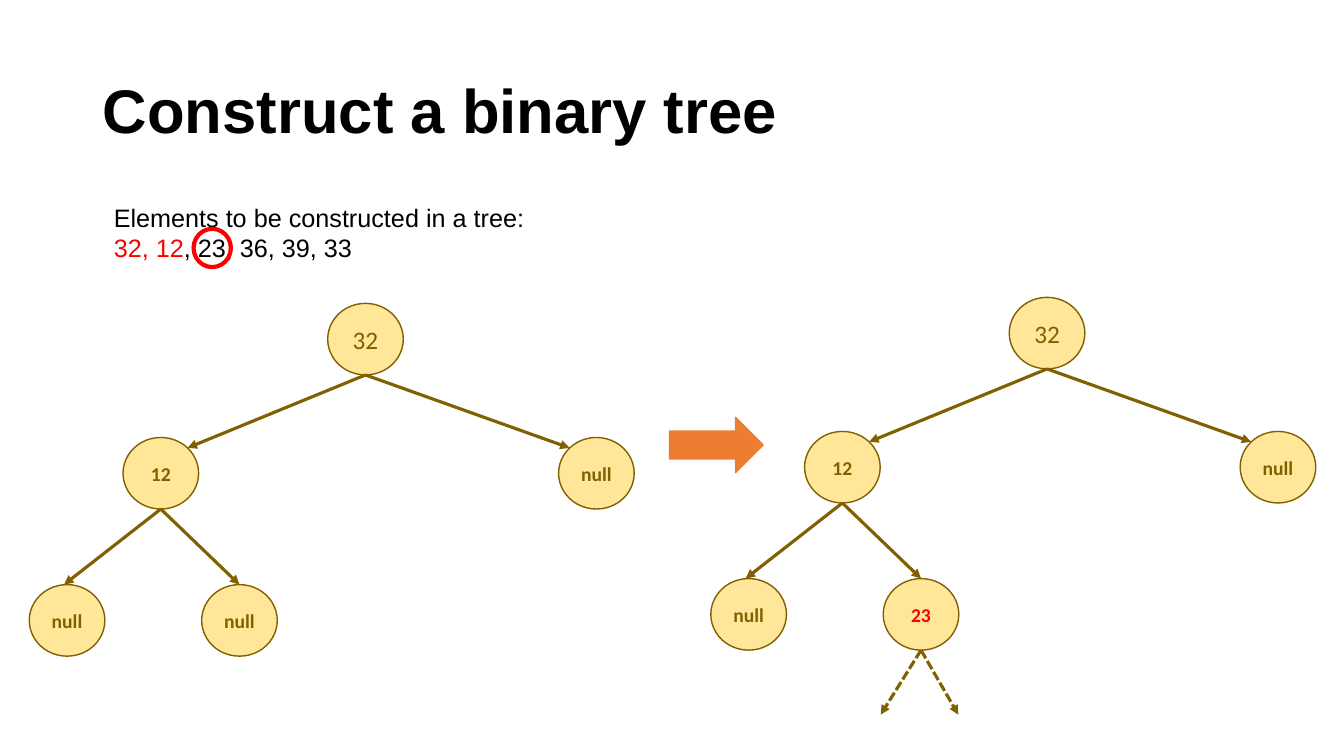
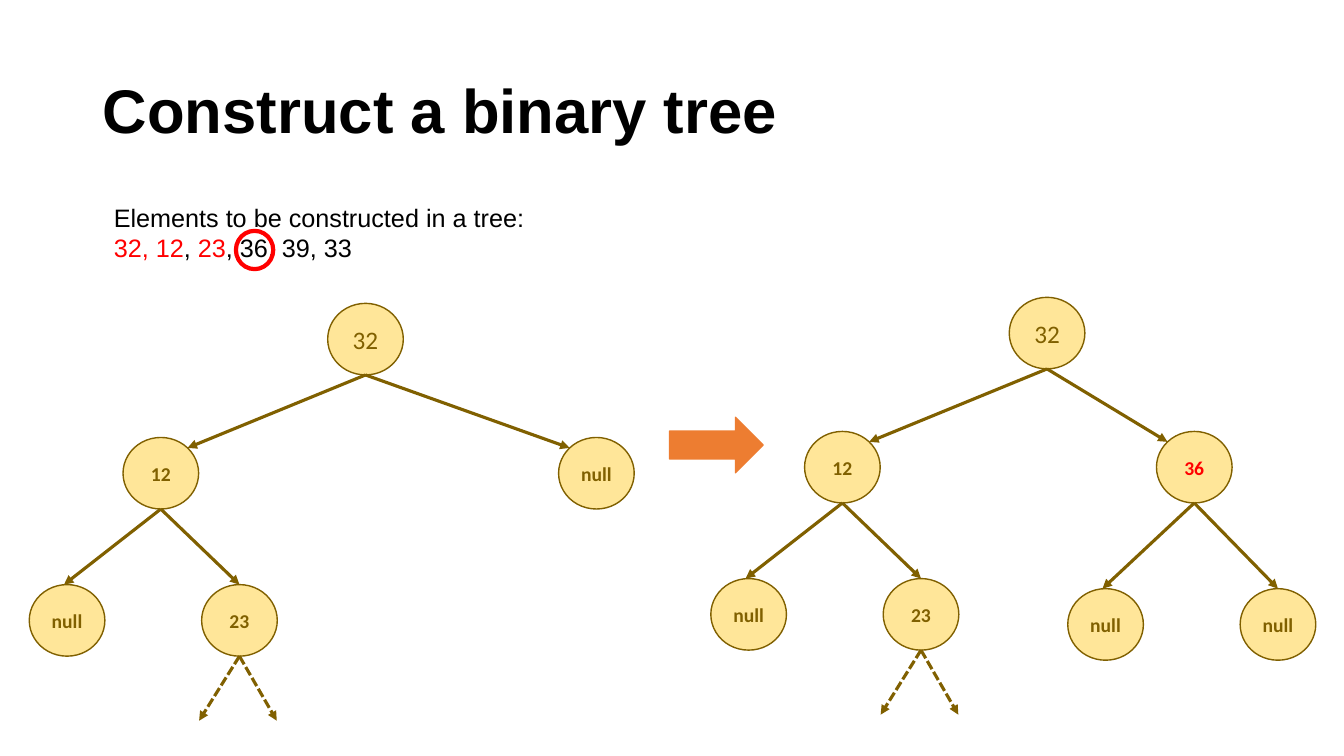
from lxml import etree
from pptx import Presentation
from pptx.dml.color import RGBColor
from pptx.enum.dml import MSO_LINE
from pptx.enum.shapes import MSO_CONNECTOR, MSO_SHAPE
from pptx.enum.text import MSO_ANCHOR, MSO_AUTO_SIZE, PP_ALIGN
from pptx.oxml.ns import qn
from pptx.util import Pt

PX = 9144
SLIDE_SIZE = (1333, 750)
TITLE_ONLY = 5
STRAIGHT = MSO_CONNECTOR.STRAIGHT
ELLIPSE, RIGHT_ARROW = MSO_SHAPE.OVAL, MSO_SHAPE.RIGHT_ARROW
DASHED = MSO_LINE.SQUARE_DOT
MIDDLE, LEFT, CENTER = MSO_ANCHOR.MIDDLE, PP_ALIGN.LEFT, PP_ALIGN.CENTER

COLORS = {
    "text": "000000",
    "highlight": "FF0000",
    "node": "FFE699",
    "outline": "806000",
    "arrow": "ED7D31",
}
HEADING_FONT, NODE_FONT = "Arial", "Calibri"

TITLE = "Construct a binary tree"
PROMPT = "Elements to be constructed in a tree:"
TITLE_BOX = (92, 40, 1150, 145)
ELEMENTS_BOX = (103, 196, 431, 71)
ARROW_BOX = (664, 414, 93, 55)
RING_SIZE = (37, 38)
NODE_WIDTH, NODE_HEIGHT = 75, 71
CORNER = 0.354
LEFT_LEAF_SHIFT = 3
PENDING_ENDS = ((37, 64), (-40, 64))
BEFORE, AFTER = (0, 0), (676, -6)

SLOTS = {
    "root": (325, 301),
    "L": (122, 434),
    "R": (554, 434),
    "R near": (471, 434),
    "LL": (29, 580),
    "LR": (200, 580),
    "RL": (383, 590),
    "RR": (554, 590),
}
PARENTS = {"L": "root", "R": "root", "R near": "root",
           "LL": "L", "LR": "L", "RL": "R near", "RR": "R near"}

TREE_12 = {"root": "32", "L": "12", "R": "null", "LL": "null", "LR": "null"}
TREE_23 = {**TREE_12, "LR": "23"}
TREE_36 = {"root": "32", "L": "12", "R near": "36",
           "LL": "null", "LR": "23", "RL": "null", "RR": "null"}

STEPS = [
    {
        "elements": [("32, 12", "highlight"), (", 23, 36, 39, 33", "text")],
        "ring": (192, 227),
        "trees": [(TREE_12, BEFORE, None, None), (TREE_23, AFTER, "LR", "LR")],
    },
    {
        "elements": [("32, 12", "highlight"), (", ", "text"),
                     ("23", "highlight"), (", 36, 39, 33", "text")],
        "ring": (234, 229),
        "trees": [(TREE_23, BEFORE, None, "LR"), (TREE_36, AFTER, "R near", "LR")],
    },
]


def emu(*lengths):
    return [round(length * PX) for length in lengths]


def color(name):
    return RGBColor.from_string(COLORS[name])


def set_font(font, name, size, color_name=None, bold=False):
    font.name, font.size, font.bold = name, Pt(size), bold
    if color_name:
        font.color.rgb = color(color_name)


def add_shape(shapes, kind, box, fill, line, width):
    shape = shapes.add_shape(kind, *emu(*box))
    shape.shadow.inherit = False
    if fill:
        shape.fill.solid()
        shape.fill.fore_color.rgb = color(fill)
    else:
        shape.fill.background()
    shape.line.color.rgb = color(line)
    shape.line.width = Pt(width)
    return shape


def add_edge(shapes, start, end, dash=None):
    edge = shapes.add_connector(STRAIGHT, *emu(*start, *end))
    edge.line.color.rgb = color("outline")
    edge.line.width = Pt(2.25)
    if dash:
        edge.line.dash_style = dash
    etree.SubElement(edge.line._get_or_add_ln(), qn("a:tailEnd"), type="triangle")
    etree.SubElement(edge._element.spPr, qn("a:effectLst"))


def add_node(shapes, position, label, is_root, is_new):
    node = add_shape(shapes, ELLIPSE, (*position, NODE_WIDTH, NODE_HEIGHT),
                     "node", "outline", 1)
    frame = node.text_frame
    frame.word_wrap = False
    frame.vertical_anchor = MIDDLE
    paragraph = frame.paragraphs[0]
    paragraph.text = label
    paragraph.alignment = CENTER
    set_font(paragraph.font, NODE_FONT, 18 if is_root else 14,
             "highlight" if is_new else "outline", not is_root)


def add_tree(slide, labels, offset, new_slot, pending_slot):
    shapes = slide.shapes.add_group_shape().shapes
    places = {slot: (SLOTS[slot][0] + offset[0], SLOTS[slot][1] + offset[1])
              for slot in labels}

    def bottom(slot):
        x, y = places[slot]
        return x + NODE_WIDTH / 2, y + NODE_HEIGHT

    for slot, label in labels.items():
        add_node(shapes, places[slot], label, slot == "root", slot == new_slot)
    for slot in labels:
        if slot == "root":
            continue
        start = bottom(PARENTS[slot])
        x, y = places[slot]
        x += NODE_WIDTH / 2
        goes_left = x < start[0]
        if PARENTS[slot] == "root":
            x += CORNER * NODE_WIDTH * (1 if goes_left else -1)
            y += (0.5 - CORNER) * NODE_HEIGHT
        elif goes_left:
            x -= LEFT_LEAF_SHIFT
        add_edge(shapes, start, (x, y))
    if pending_slot:
        x, y = bottom(pending_slot)
        for dx, dy in PENDING_ENDS:
            add_edge(shapes, (x, y), (x + dx, y + dy), DASHED)


def add_title(slide):
    title = slide.shapes.title
    title.left, title.top, title.width, title.height = emu(*TITLE_BOX)
    title.text_frame.vertical_anchor = MIDDLE
    paragraph = title.text_frame.paragraphs[0]
    paragraph.text = TITLE
    paragraph.alignment = LEFT
    paragraph.line_spacing = 0.9
    set_font(paragraph.font, HEADING_FONT, 44, "text", True)


def add_elements(slide, elements):
    frame = slide.shapes.add_textbox(*emu(*ELEMENTS_BOX)).text_frame
    frame.word_wrap = False
    frame.auto_size = MSO_AUTO_SIZE.SHAPE_TO_FIT_TEXT
    prompt = frame.paragraphs[0]
    prompt.text = PROMPT
    set_font(prompt.font, HEADING_FONT, 18, "text")
    numbers = frame.add_paragraph()
    set_font(numbers.font, HEADING_FONT, 18)
    for text, color_name in elements:
        run = numbers.add_run()
        run.text = text
        run.font.color.rgb = color(color_name)


def add_step(presentation, step):
    slide = presentation.slides.add_slide(presentation.slide_layouts[TITLE_ONLY])
    add_title(slide)
    add_elements(slide, step["elements"])
    add_shape(slide.shapes, RIGHT_ARROW, ARROW_BOX, "arrow", "arrow", 1)
    for tree in step["trees"]:
        add_tree(slide, *tree)
    add_shape(slide.shapes, ELLIPSE, (*step["ring"], *RING_SIZE), None, "highlight", 3)


def main():
    presentation = Presentation()
    presentation.slide_width, presentation.slide_height = emu(*SLIDE_SIZE)
    for step in STEPS:
        add_step(presentation, step)
    presentation.save("out.pptx")


if __name__ == "__main__":
    main()
